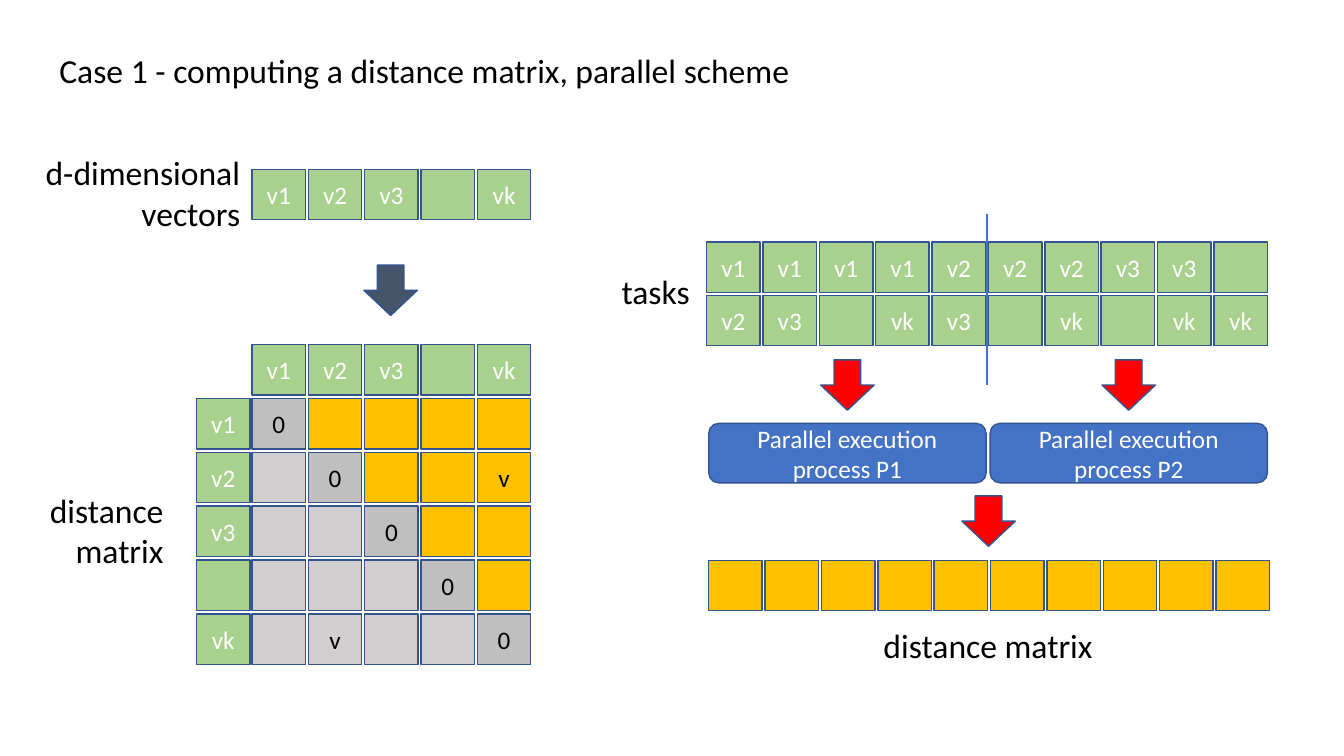
from pptx import Presentation
from pptx.dml.color import RGBColor
from pptx.enum.shapes import MSO_CONNECTOR, MSO_SHAPE
from pptx.enum.text import MSO_ANCHOR, PP_ALIGN
from pptx.oxml.ns import qn
from pptx.util import Inches, Pt
from lxml import etree

GREEN = RGBColor(0xA9, 0xD1, 0x8E)
ORANGE = RGBColor(0xFF, 0xC0, 0x00)
GREY = RGBColor(0xBF, 0xBF, 0xBF)
LIGHT_GREY = RGBColor(0xD0, 0xCE, 0xCE)
BLUE = RGBColor(0x44, 0x72, 0xC4)
OUTLINE = RGBColor(0x32, 0x54, 0x91)
SLATE = RGBColor(0x44, 0x54, 0x6A)
RED = RGBColor(0xFF, 0x00, 0x00)
BLACK = RGBColor(0x00, 0x00, 0x00)
WHITE = RGBColor(0xFF, 0xFF, 0xFF)

CELL_W, CELL_H = 0.53, 0.5
STEP_X = 5.03 / 9
STEP_Y = 2.67 / 5

prs = Presentation()
prs.slide_width = Inches(13.33)
prs.slide_height = Inches(7.5)
s = prs.slides.add_slide(prs.slide_layouts[6])


def write(tf, lines, size, color, align):
    tf.word_wrap = True
    for i, line in enumerate(lines):
        p = tf.paragraphs[0] if i == 0 else tf.add_paragraph()
        p.alignment = align
        r = p.add_run()
        r.text = line
        r.font.name = "Calibri"
        r.font.size = Pt(size)
        r.font.color.rgb = color


def add_box(kind, x, y, fill, lines=(), color=WHITE, w=CELL_W, h=CELL_H):
    sp = s.shapes.add_shape(kind, Inches(x), Inches(y), Inches(w), Inches(h))
    sp.shadow.inherit = False
    sp.fill.solid()
    sp.fill.fore_color.rgb = fill
    sp.line.color.rgb = OUTLINE
    sp.line.width = Pt(1)
    sp.text_frame.vertical_anchor = MSO_ANCHOR.MIDDLE
    write(sp.text_frame, lines, 18, color, PP_ALIGN.CENTER)


# Title and labels
for text, x, y, w, h, align in [
    ("Case 1 - computing a distance matrix, parallel scheme", 0.49, 0.45, 8.83, 0.5, PP_ALIGN.LEFT),
    ("d-dimensional vectors", 0.29, 1.46, 2.19, 0.91, PP_ALIGN.RIGHT),
    ("distance matrix", 0.19, 4.81, 1.53, 0.91, PP_ALIGN.RIGHT),
    ("tasks", 5.71, 2.64, 1.23, 0.5, PP_ALIGN.RIGHT),
    ("distance matrix", 7.03, 6.15, 5.54, 0.5, PP_ALIGN.CENTER),
]:
    tb = s.shapes.add_textbox(Inches(x), Inches(y), Inches(w), Inches(h))
    write(tb.text_frame, [text], 24, BLACK, align)

# Rows of green and orange cells
vectors = ["v1", "v2", "v3", "", "vk"]
for x, y, fill, names in [
    (2.5, 1.68, GREEN, vectors),
    (2.5, 3.42, GREEN, vectors),
    (7.01, 2.4, GREEN, ["v1", "v1", "v1", "v1", "v2", "v2", "v2", "v3", "v3", ""]),
    (7.01, 2.93, GREEN, ["v2", "v3", "", "vk", "v3", "", "vk", "", "vk", "vk"]),
    (7.03, 5.56, ORANGE, [""] * 10),
]:
    for i, name in enumerate(names):
        add_box(MSO_SHAPE.RECTANGLE, x + i * STEP_X, y, fill, [name] if name else [])

# Distance matrix: row header, then cells below, on and above the diagonal
for row, name in enumerate(vectors):
    y = 3.42 + (row + 1) * STEP_Y
    add_box(MSO_SHAPE.RECTANGLE, 1.95, y, GREEN, [name] if name else [])
    for col in range(len(vectors)):
        if row == col:
            fill, lines = GREY, ["0"]
        else:
            fill = LIGHT_GREY if row > col else ORANGE
            lines = ["v"] if {row, col} == {1, 4} else []
        add_box(MSO_SHAPE.RECTANGLE, 2.5 + col * STEP_X, y, fill, lines, BLACK)

# Parallel processes
for x, process in [(7.03, "process P1"), (9.82, "process P2")]:
    add_box(MSO_SHAPE.ROUNDED_RECTANGLE, x, 4.2, BLUE,
            ["Parallel execution", process], w=2.75, h=0.59)

# Arrows
for x, y, fill in [(3.61, 2.63, SLATE), (8.14, 3.57, RED), (10.93, 3.57, RED), (9.54, 4.92, RED)]:
    add_box(MSO_SHAPE.DOWN_ARROW, x, y, fill)

# Line splitting the tasks
cn = s.shapes.add_connector(MSO_CONNECTOR.STRAIGHT, Inches(9.79), Inches(2.12),
                            Inches(9.79), Inches(3.82))
cn.line.color.rgb = BLUE
cn.line.width = Pt(1.5)
etree.SubElement(cn._element.spPr, qn("a:effectLst"))

prs.save("out.pptx")
